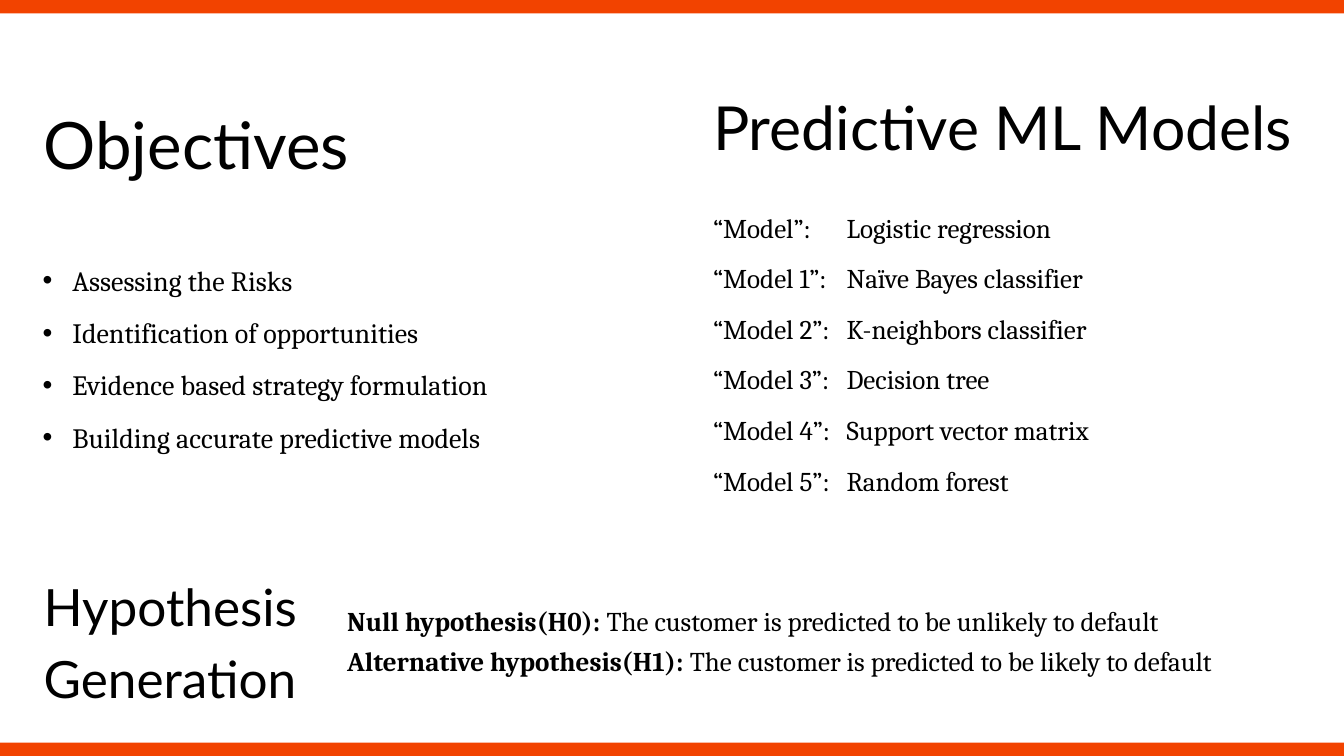
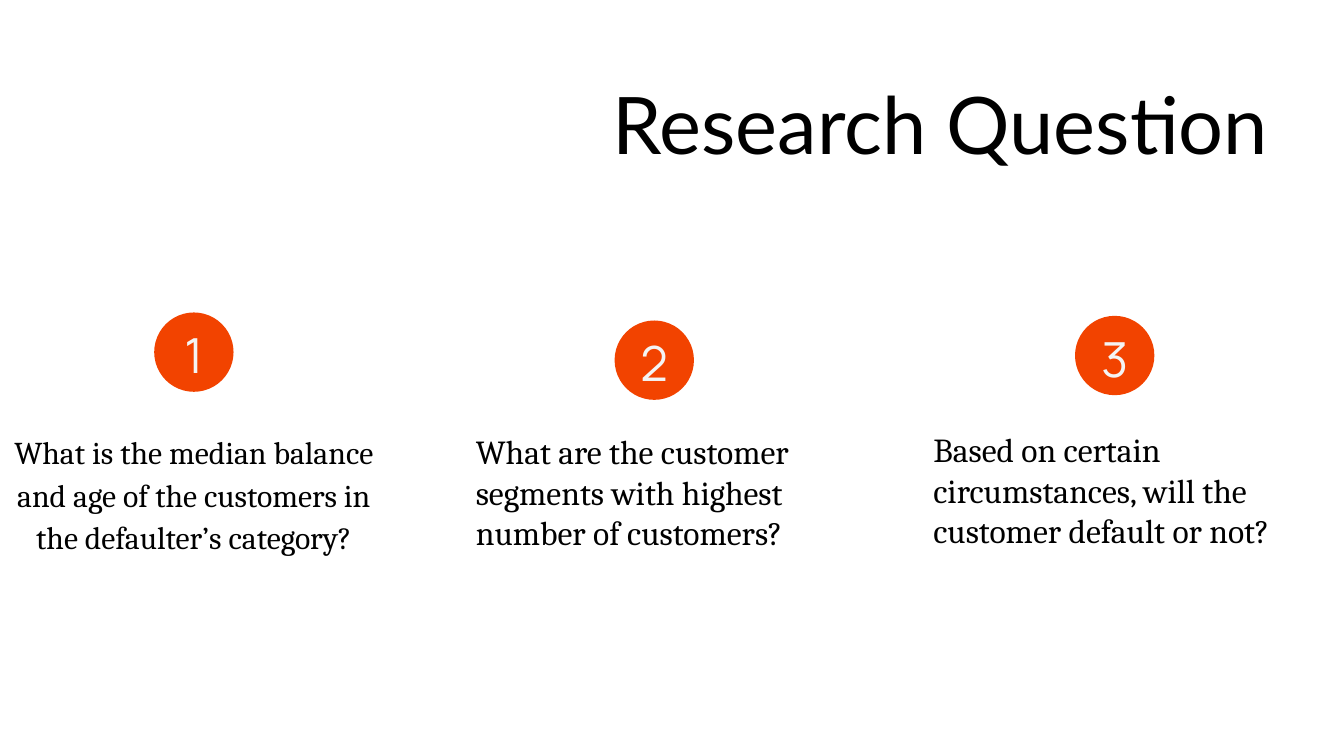
from lxml.etree import SubElement
from pptx import Presentation
from pptx.dml.color import RGBColor
from pptx.enum.shapes import MSO_SHAPE as Shape
from pptx.enum.text import MSO_ANCHOR as Anchor, MSO_AUTO_SIZE as AutoSize, PP_ALIGN as Align
from pptx.oxml.ns import qn
from pptx.util import Pt

COLORS = {"accent": "F24300", "text": "000000", "number": "F4F4F4"}
TITLE_FONT, BODY_FONT, NUMBER_FONT = "Lato", "Cambria", "Manrope"
WIDTH, HEIGHT, BAND = 1440, 810, 14.4

deck = Presentation()
deck.slide_width, deck.slide_height = Pt(WIDTH), Pt(HEIGHT)
title_only = deck.slide_layouts[5]


def write(box, place, lines, font, size, spacing=None, align=Align.LEFT, color="text"):
    """Place a text shape and fill it; each line is a list of (text, bold) runs."""
    box.left, box.top, box.width, box.height = [Pt(value) for value in place]
    frame = box.text_frame
    frame.word_wrap, frame.auto_size = True, AutoSize.NONE
    frame.vertical_anchor = Anchor.TOP
    frame.margin_left = frame.margin_top = frame.margin_right = frame.margin_bottom = 0
    for index, runs in enumerate(lines):
        para = frame.add_paragraph() if index else frame.paragraphs[0]
        para.alignment = align
        para.space_before = Pt(0)
        para.line_spacing = Pt(spacing) if spacing else 1.0
        for text, bold in runs:
            span = para.add_run()
            span.text = text
            span.font.name, span.font.size, span.font.bold = font, Pt(size), bold
            span.font.color.rgb = RGBColor.from_string(COLORS[color])
    return frame.paragraphs


def add_accent(page, kind, left, top, width, height):
    """Add a plain orange shape without outline or shadow."""
    shape = page.shapes.add_shape(kind, Pt(left), Pt(top), Pt(width), Pt(height))
    shape.shadow.inherit = False
    shape.fill.solid()
    shape.fill.fore_color.rgb = RGBColor.from_string(COLORS["accent"])
    shape.line.fill.background()


# Slide 1: objectives, models and hypotheses
page = deck.slides.add_slide(title_only)
write(page.shapes.title, (46.8, 111.6, 440, 82.8), [[("Objectives", False)]],
      TITLE_FONT, 70, 84)

# Headings beside and below the title
for place, words, size, spacing in [
    ((764, 95.8, 676, 78.5), ["Predictive ML Models"], 65, 78),
    ((46.8, 605.5, 302.4, 147.6), ["Hypothesis", "Generation"], 55, 77),
]:
    box = page.shapes.add_textbox(0, 0, 0, 0)
    write(box, place, [[(word, False)] for word in words], TITLE_FONT, size, spacing)

# Bulleted objectives
objectives = ["Assessing the Risks", "Identification of opportunities",
              "Evidence based strategy formulation", "Building accurate predictive models"]
box = page.shapes.add_textbox(0, 0, 0, 0)
for para in write(box, (20.2, 262, 642, 225), [[(text, False)] for text in objectives],
                  BODY_FONT, 30, 56.1):
    properties = para._p.get_or_add_pPr()
    properties.set("marL", str(Pt(57.5)))
    properties.set("indent", str(Pt(-32)))
    SubElement(properties, qn("a:buFont"), typeface="Arial")
    SubElement(properties, qn("a:buChar"), char="•")

# Models, with their names lined up on a tab stop
models = [("Model", "Logistic regression"), ("Model 1", "Naïve Bayes classifier"),
          ("Model 2", "K-neighbors classifier"), ("Model 3", "Decision tree"),
          ("Model 4", "Support vector matrix"), ("Model 5", "Random forest")]
box = page.shapes.add_textbox(0, 0, 0, 0)
for para in write(box, (764, 206.8, 656, 326), [[(f"“{key}”:\t{name}", False)] for key, name in models],
                  BODY_FONT, 29, 54.2):
    tabs = SubElement(para._p.get_or_add_pPr(), qn("a:tabLst"))
    SubElement(tabs, qn("a:tab"), pos=str(Pt(143)), algn="l")

# Hypotheses
hypotheses = [
    [("Null hypothesis(H0): ", True), ("The customer is predicted to be unlikely to default", False)],
    [("Alternative hypothesis(H1): ", True), ("The customer is predicted to be likely to default", False)],
]
box = page.shapes.add_textbox(0, 0, 0, 0)
write(box, (372, 638.6, 1068, 133), hypotheses, BODY_FONT, 29, 43.5)

# Bands along the bottom and top edges
for top in (HEIGHT - BAND, 0):
    add_accent(page, Shape.RECTANGLE, 0, top, WIDTH, BAND)

# Slide 2: research questions
page = deck.slides.add_slide(title_only)
write(page.shapes.title, (522, 80.6, 836.6, 103), [[("Research Question", False)]],
      TITLE_FONT, 85, 102, Align.RIGHT)

# Numbered circles at equal steps, each above its question
CIRCLE, FIRST_CENTER, STEP = 85, 207.7, 493.3
questions = [
    (334.8, (5.8, 459.4, 404, 186), 34, 45.5, Align.CENTER,
     "What is the median balance and age of the customers in the defaulter’s category?"),
    (343.4, (509.8, 462.2, 391, 131), 36, None, Align.LEFT,
     "What are the customer segments with highest number of customers?"),
    (338.4, (1000, 460, 389, 174), 36, None, Align.LEFT,
     "Based on certain circumstances, will the customer default or not?"),
]
for index, (top, place, size, spacing, align, question) in enumerate(questions):
    left = FIRST_CENTER + index * STEP - CIRCLE / 2
    add_accent(page, Shape.OVAL, left, top, CIRCLE, CIRCLE)
    number = page.shapes.add_textbox(0, 0, 0, 0)
    write(number, (left, top + 3.6, CIRCLE, 72), [[(str(index + 1), False)]],
          NUMBER_FONT, 51.8, 72.6, Align.CENTER, "number")
    box = page.shapes.add_textbox(0, 0, 0, 0)
    write(box, place, [[(question, False)]], BODY_FONT, size, spacing, align)

deck.save("out.pptx")
